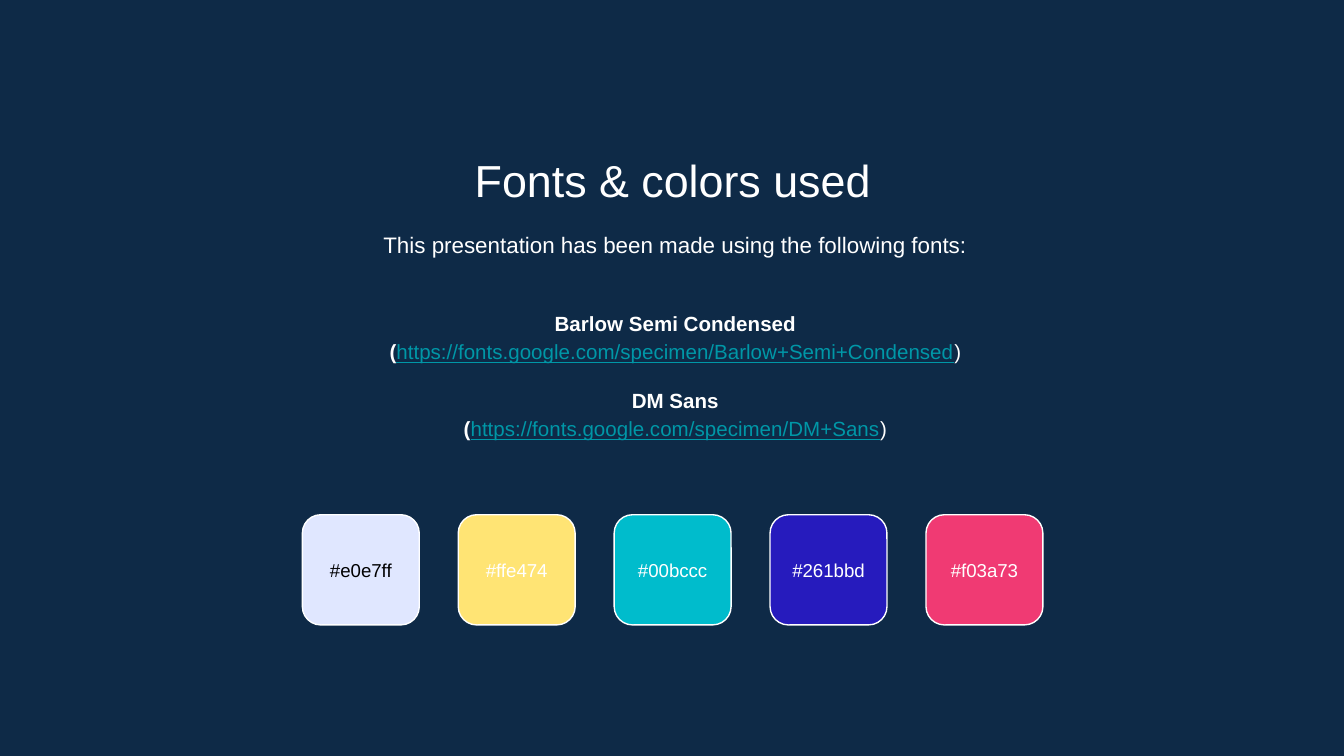
from pptx import Presentation
from pptx.dml.color import RGBColor
from pptx.enum.shapes import MSO_SHAPE
from pptx.enum.text import MSO_ANCHOR, PP_ALIGN
from pptx.util import Inches, Pt

WHITE = "FFFFFF"
LINK = "0097A7"
SITE = "https://fonts.google.com/specimen/"
FONTS = ["Barlow Semi Condensed", "DM Sans"]
COLORS = ["e0e7ff", "ffe474", "00bccc", "261bbd", "f03a73"]


def paint(color, code):
    color.rgb = RGBColor.from_string(code.upper())


def fill(target, code):
    target.fill.solid()
    paint(target.fill.fore_color, code)


def set_all(target, values):
    for name, value in values.items():
        setattr(target, name, value)


def add_run(para, text, size, color=WHITE, **style):
    run = para.add_run()
    run.text = text
    set_all(run.font, {"name": "Arial", "size": Pt(size), **style})
    paint(run.font.color, color)


def add_box(slide, left, top, width, height, anchor=MSO_ANCHOR.TOP):
    box = slide.shapes.add_textbox(*map(Inches, (left, top, width, height)))
    frame = box.text_frame
    set_all(frame, {"word_wrap": True, "vertical_anchor": anchor})
    for side in ("left", "top", "right", "bottom"):
        setattr(frame, f"margin_{side}", Inches(0.1))
    return frame


def add_line(slide, text, place, size, spacing):
    para = add_box(slide, *place).paragraphs[0]
    set_all(para, {"alignment": PP_ALIGN.CENTER, "line_spacing": spacing})
    add_run(para, text, size)


def add_fonts(slide):
    """List each font in bold with its web address below."""
    frame = add_box(slide, 1.17, 2.1, 7.71, 1.37, MSO_ANCHOR.MIDDLE)
    layout = {"alignment": PP_ALIGN.CENTER, "line_spacing": 1.15}
    for i, name in enumerate(FONTS):
        head = frame.add_paragraph() if i else frame.paragraphs[0]
        if i:
            head.space_before = Pt(11)
        add_run(head, name, 11, bold=True)
        link = frame.add_paragraph()
        add_run(link, "(", 11, bold=True)
        add_run(link, SITE + name.replace(" ", "+"), 11, LINK, underline=True)
        add_run(link, ")", 11)
        for para in (head, link):
            set_all(para, layout)


def add_swatch(slide, left, code, ink):
    """Add a rounded square labelled with its own colour."""
    place = map(Inches, (left, 3.83, 0.87, 0.82))
    shape = slide.shapes.add_shape(MSO_SHAPE.ROUNDED_RECTANGLE, *place)
    shape.shadow.inherit = False
    fill(shape, code)
    fill(shape.line, WHITE)
    shape.line.width = Pt(0.75)
    frame = shape.text_frame
    set_all(frame, {"word_wrap": True, "vertical_anchor": MSO_ANCHOR.MIDDLE,
                    "margin_left": 0, "margin_right": 0})
    para = frame.paragraphs[0]
    para.alignment = PP_ALIGN.CENTER
    add_run(para, f"#{code}", 10, ink)


def main():
    deck = Presentation()
    width = Inches(10)
    set_all(deck, {"slide_width": width, "slide_height": width * 9 // 16})
    slide = deck.slides.add_slide(deck.slide_layouts[6])
    fill(slide.background, "0E2A47")
    add_line(slide, "Fonts & colors used", (1.15, 1.04, 7.71, 0.53), 24, 1.0)
    add_line(slide, "This presentation has been made using the following fonts:",
             (1.17, 1.59, 7.71, 0.48), 12, 1.15)
    add_fonts(slide)
    for i, code in enumerate(COLORS):
        add_swatch(slide, 2.25 + 1.16 * i, code, WHITE if i else "000000")
    deck.save("out.pptx")


if __name__ == "__main__":
    main()
